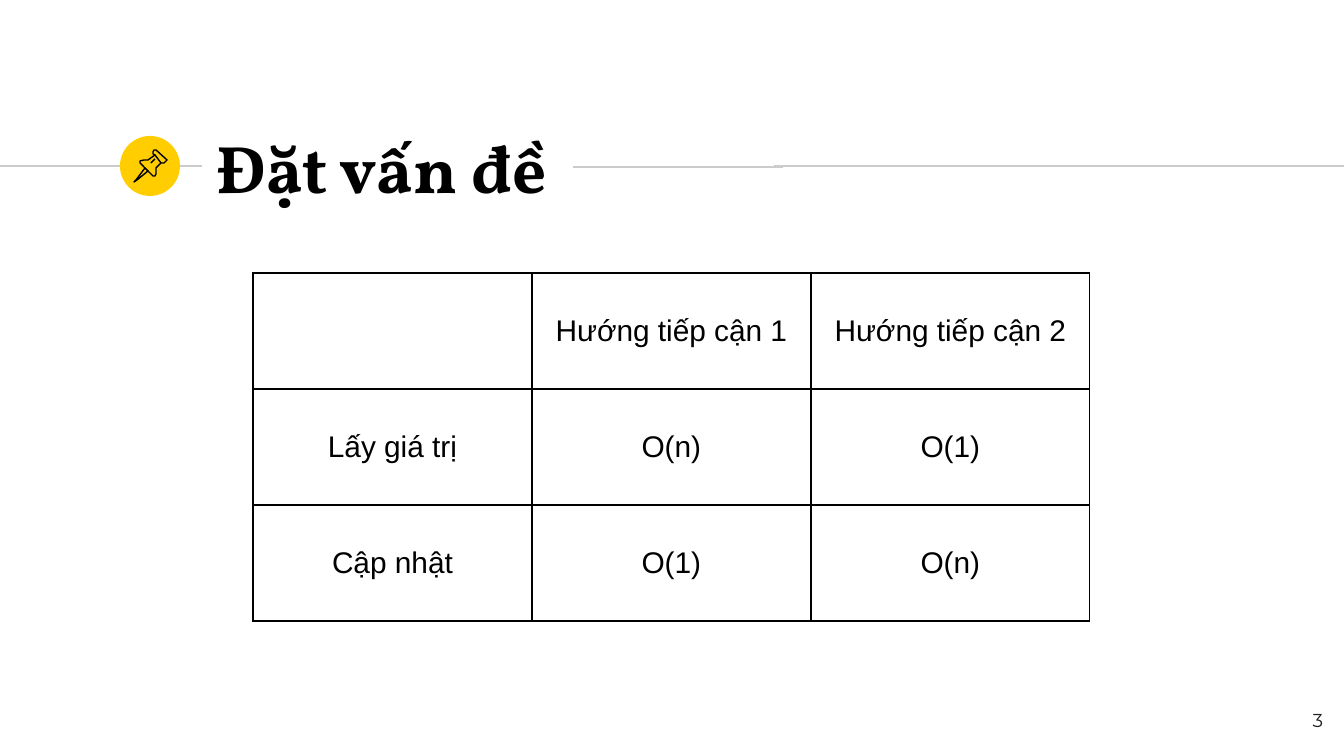
from dataclasses import dataclass

from lxml.etree import SubElement
from pptx import Presentation
from pptx.dml.color import RGBColor
from pptx.enum.shapes import MSO_CONNECTOR, MSO_SHAPE
from pptx.enum.text import MSO_ANCHOR, PP_ALIGN
from pptx.oxml.ns import qn
from pptx.util import Pt

PX = 914400 / 134.4  # EMU in one px


def emu(px):
    return round(px * PX)


@dataclass(frozen=True)
class Theme:
    ink: str = "000000"
    rule: str = "CCCCCC"
    accent: str = "FFCD00"
    number: str = "1D1D1B"
    title_font: str = "Vollkorn"
    body_font: str = "Arial"
    number_font: str = "Montserrat"
    title_size: int = 36
    body_size: int = 16
    number_size: int = 10
    line_width: float = 0.75


class SlideBuilder:
    def __init__(self, s, theme):
        self.s = s
        self.theme = theme

    def stroke(self, line, color):
        line.color.rgb = RGBColor.from_string(color)
        line.width = Pt(self.theme.line_width)

    def style(self, p, font, size, color, bold=False, align=PP_ALIGN.LEFT):
        p.alignment = align
        for r in p.runs:
            r.font.name = font
            r.font.size = Pt(size)
            r.font.bold = bold
            r.font.color.rgb = RGBColor.from_string(color)

    def rule(self, x1, x2, y):
        line = self.s.shapes.add_connector(
            MSO_CONNECTOR.STRAIGHT, emu(x1), emu(y), emu(x2), emu(y))
        self.stroke(line.line, self.theme.rule)
        SubElement(line._element.spPr, qn("a:effectLst"))

    def disc(self, x, y, size):
        sp = self.s.shapes.add_shape(
            MSO_SHAPE.OVAL, emu(x), emu(y), emu(size), emu(size))
        sp.shadow.inherit = False
        sp.fill.solid()
        sp.fill.fore_color.rgb = RGBColor.from_string(self.theme.accent)
        sp.line.fill.background()

    def outline(self, points, close):
        builder = self.s.shapes.build_freeform(*points[0], scale=PX)
        builder.add_line_segments(points[1:], close=close)
        sp = builder.convert_to_shape()
        sp.shadow.inherit = False
        sp.fill.background()
        self.stroke(sp.line, self.theme.ink)

    def text(self, text, x, y, w, h, anchor, **style):
        tf = self.s.shapes.add_textbox(emu(x), emu(y), emu(w), emu(h)).text_frame
        tf.word_wrap = True
        tf.vertical_anchor = anchor
        tf.margin_left = tf.margin_right = emu(13)
        tf.margin_top = tf.margin_bottom = emu(13)
        tf.text = text
        self.style(tf.paragraphs[0], **style)

    def cell_borders(self, cell):
        tcPr = cell._tc.get_or_add_tcPr()
        for side in ("a:lnL", "a:lnR", "a:lnT", "a:lnB"):
            ln = SubElement(tcPr, qn(side), w=str(Pt(self.theme.line_width)))
            fill = SubElement(ln, qn("a:solidFill"))
            SubElement(fill, qn("a:srgbClr"), val=self.theme.ink)

    def table(self, rows, x, y, col_w, row_h):
        n_rows, n_cols = len(rows), len(rows[0])
        table = self.s.shapes.add_table(
            n_rows, n_cols, emu(x), emu(y),
            emu(col_w * n_cols), emu(row_h * n_rows)).table
        table.first_row = table.horz_banding = False
        for i, row in enumerate(rows):
            for j, text in enumerate(row):
                cell = table.cell(i, j)
                self.cell_borders(cell)
                cell.fill.background()
                cell.vertical_anchor = MSO_ANCHOR.MIDDLE
                cell.margin_left = cell.margin_right = emu(13)
                cell.margin_top = cell.margin_bottom = emu(9)
                if text:
                    cell.text_frame.text = text
                    self.style(cell.text_frame.paragraphs[0],
                               self.theme.body_font, self.theme.body_size,
                               self.theme.ink, align=PP_ALIGN.CENTER)


PIN_NEEDLE = [(145, 168), (136, 180), (134, 182), (137, 180), (148, 171)]
PIN_HEAD = [(155, 155), (161, 163), (164, 163), (166, 161), (167, 160),
            (156, 150), (154, 150), (153, 152), (153, 154)]
PIN_BODY = [(155, 155), (148, 160), (144, 160), (140, 161), (140, 163),
            (153, 176), (155, 176), (156, 174), (156, 168), (161, 163)]
PIN_GLINT = [(151, 163), (155, 159)]

COMPLEXITY = [
    ["", "Hướng tiếp cận 1", "Hướng tiếp cận 2"],
    ["Lấy giá trị", "O(n)", "O(1)"],
    ["Cập nhật", "O(1)", "O(n)"],
]


def main():
    prs = Presentation()
    prs.slide_width, prs.slide_height = emu(1344), emu(756)
    theme = Theme()
    slide = SlideBuilder(prs.slides.add_slide(prs.slide_layouts[6]), theme)

    slide.rule(0, 202, 166)
    slide.disc(120, 136, 60)
    slide.rule(774, 1344, 166)
    slide.text("Đặt vấn đề", 204, 134, 394, 65, MSO_ANCHOR.MIDDLE,
               font=theme.title_font, size=theme.title_size,
               color=theme.ink, bold=True)
    slide.table(COMPLEXITY, 253, 273, col_w=279, row_h=116)
    for points, close in ((PIN_NEEDLE, True), (PIN_HEAD, True),
                          (PIN_BODY, False), (PIN_GLINT, False)):
        slide.outline(points, close)
    slide.text("3", 1255, 698, 81, 58, MSO_ANCHOR.TOP,
               font=theme.number_font, size=theme.number_size,
               color=theme.number, align=PP_ALIGN.RIGHT)
    slide.rule(573, 783, 167)

    prs.save("out.pptx")


if __name__ == "__main__":
    main()
